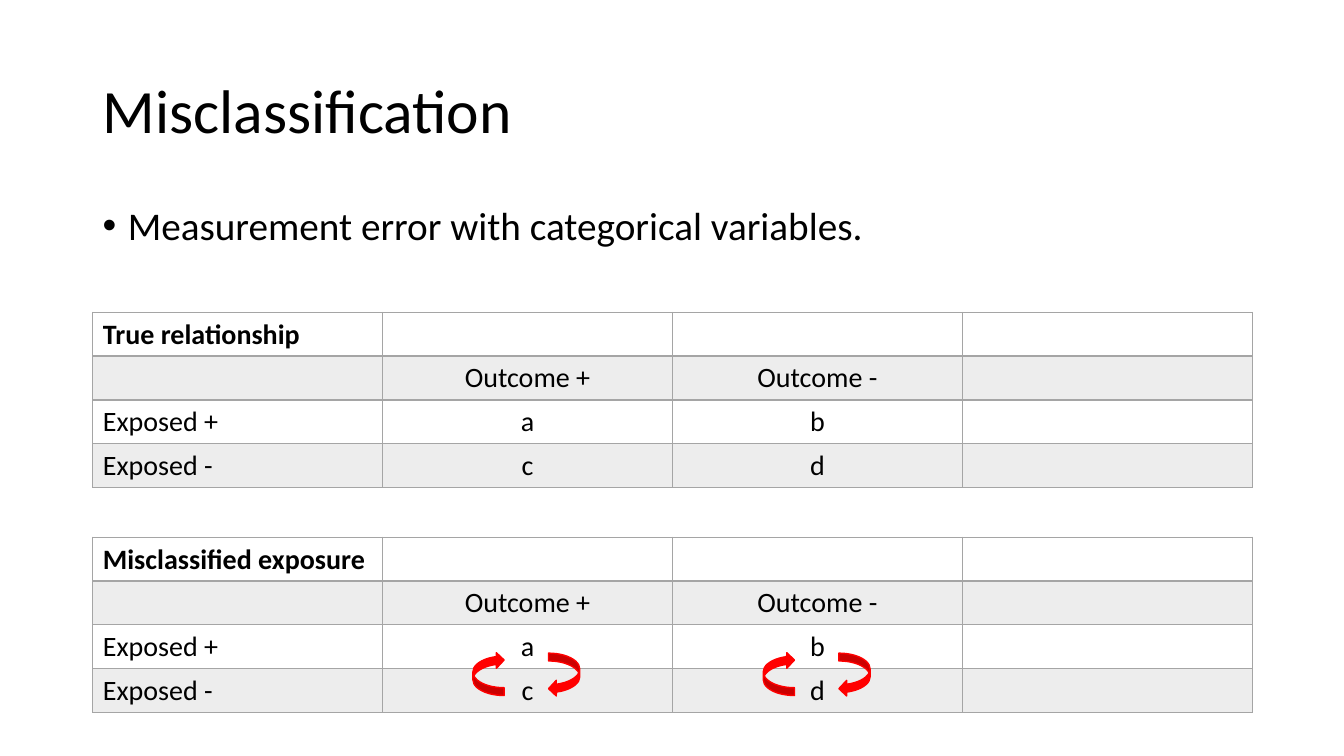
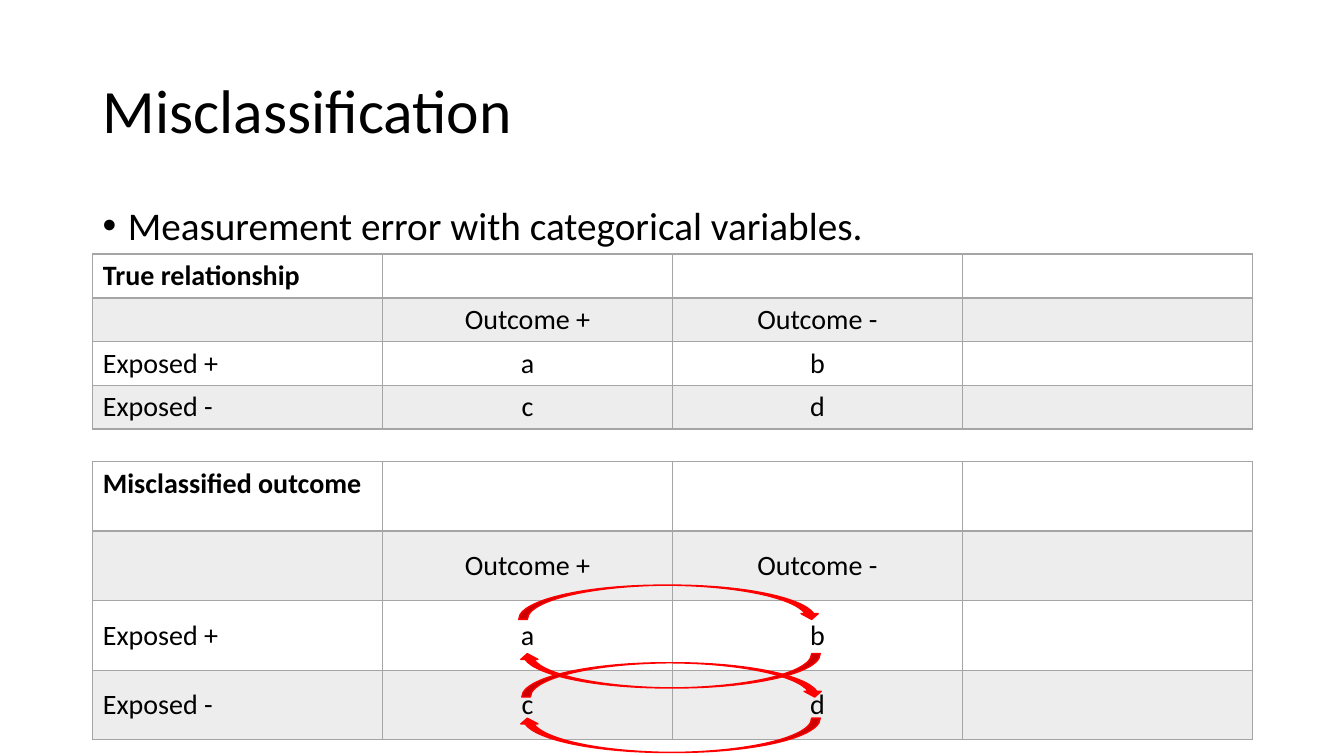
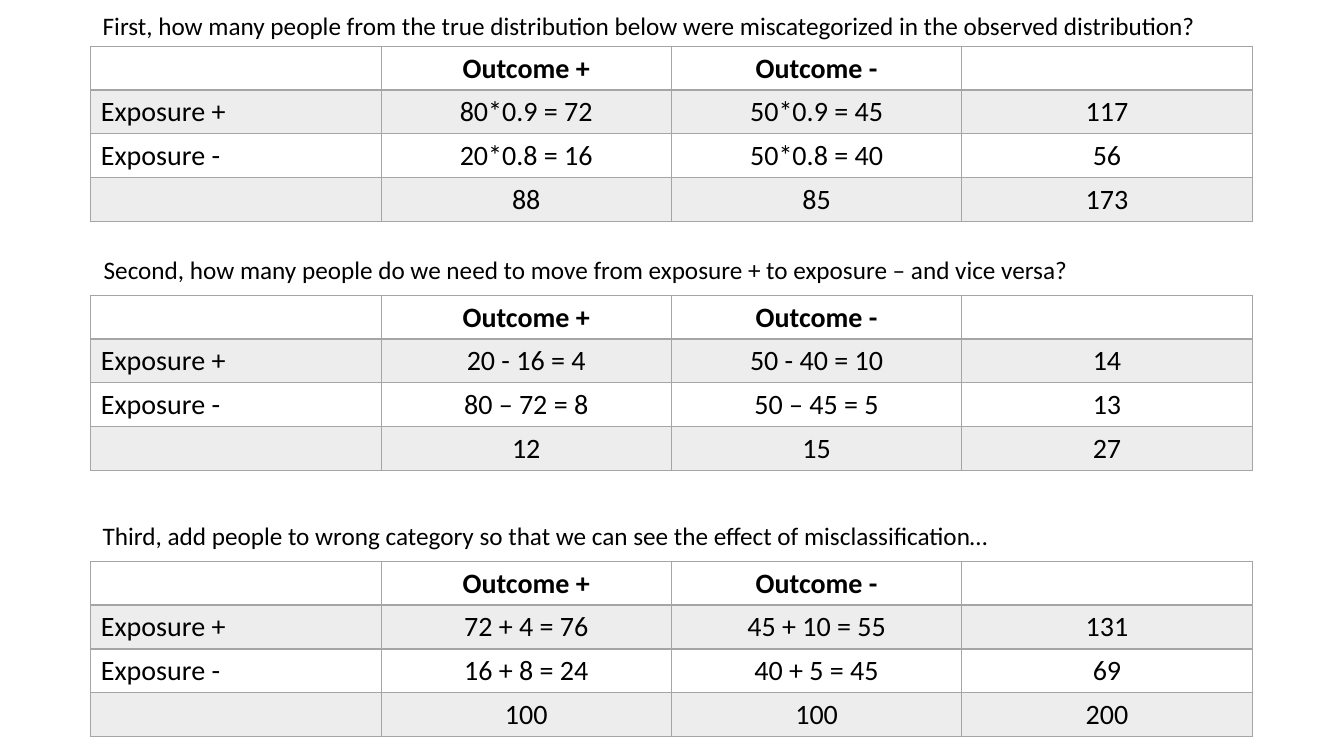
from lxml import etree
from pptx import Presentation
from pptx.dml.color import RGBColor
from pptx.enum.shapes import MSO_SHAPE as SHAPE
from pptx.enum.text import MSO_ANCHOR as ANCHOR, PP_ALIGN as ALIGN
from pptx.oxml.ns import qn
from pptx.util import Pt

# Shared style
PX = 9144  # 100 px to the inch
FONT = "Calibri"
BLACK, GREY, BAND, RED = "000000", "A5A5A5", "EDEDED", "FF0000"
LEFT, WIDTH, TABLE_HEIGHT = 92, 1150, 173
STEP_LEFT, STEP_WIDTH = 90, 1152


def px(*lengths):
    return [length * PX for length in lengths]


def color(value):
    return RGBColor.from_string(value)


def set_font(paragraph, size, bold=False):
    font = paragraph.font
    font.name, font.size, font.bold = FONT, Pt(size), bold
    font.color.rgb = color(BLACK)


def add_text(slide, box, text, size, spacing=None, anchor=ANCHOR.TOP, bullet=False):
    frame = slide.shapes.add_textbox(*px(*box)).text_frame
    frame.word_wrap = True
    frame.vertical_anchor = anchor
    paragraph = frame.paragraphs[0]
    paragraph.text = text
    if spacing:
        paragraph.line_spacing = spacing
    if bullet:
        props = paragraph._p.get_or_add_pPr()
        props.set("marL", str(25 * PX))
        props.set("indent", str(-25 * PX))
        etree.SubElement(props, qn("a:buFont"), typeface="Arial")
        etree.SubElement(props, qn("a:buChar"), char="•")
    set_font(paragraph, size)


def set_borders(cell, row):
    """Grey grid with a heavier rule under the header row."""
    widths = {"L": 1, "R": 1, "T": 2 if row == 1 else 1, "B": 2 if row == 0 else 1}
    props = cell._tc.get_or_add_tcPr()
    for side, width in widths.items():
        line = etree.SubElement(props, qn(f"a:ln{side}"), w=str(Pt(width)))
        fill = etree.SubElement(line, qn("a:solidFill"))
        etree.SubElement(fill, qn("a:srgbClr"), val=GREY)


def add_grid(slide, box, rows):
    frame = slide.shapes.add_table(len(rows), len(rows[0]), *px(*box))
    table = frame.table
    table.first_row = table.horz_banding = False
    for r, row in enumerate(rows):
        for c, text in enumerate(row):
            cell = table.cell(r, c)
            set_borders(cell, r)
            if r % 2:
                cell.fill.solid()
                cell.fill.fore_color.rgb = color(BAND)
            else:
                cell.fill.background()
            cell.vertical_anchor = ANCHOR.MIDDLE if r else ANCHOR.TOP
            paragraph = cell.text_frame.paragraphs[0]
            paragraph.text = text
            paragraph.alignment = ALIGN.CENTER if c else ALIGN.LEFT
            set_font(paragraph, 20, bold=r == 0)


def add_swap_arrow(slide, box, rotation, head=0.25):
    arrow = slide.shapes.add_shape(SHAPE.CURVED_LEFT_ARROW, *px(*box))
    arrow.shadow.inherit = False
    arrow.rotation = rotation
    for i, value in enumerate((0.25, 0.5, head)):
        arrow.adjustments[i] = value
    arrow.fill.solid()
    arrow.fill.fore_color.rgb = color(RED)
    arrow.line.color.rgb = color(RED)
    arrow.line.width = Pt(1)


def add_slide(deck):
    return deck.slides.add_slide(deck.slide_layouts[6])


def add_misclassification(deck, kind, true_top, wrong_top, wrong_height):
    """Title, definition, and the true table above the misclassified one."""
    slide = add_slide(deck)
    add_text(slide, (LEFT, 40, WIDTH, 145), "Misclassification", 44, 0.9, ANCHOR.MIDDLE)
    add_text(slide, (LEFT, 200, WIDTH, 476),
             "Measurement error with categorical variables.", 28, 0.9, bullet=True)
    for heading, top, height in (("True relationship", true_top, TABLE_HEIGHT),
                                 (f"Misclassified {kind}", wrong_top, wrong_height)):
        add_grid(slide, (LEFT, top, WIDTH, height), [
            (heading, "", "", ""),
            ("", "Outcome +", "Outcome -", ""),
            ("Exposed +", "a", "b", ""),
            ("Exposed -", "c", "d", ""),
        ])
    return slide


def add_step(slide, caption, caption_box, top, counts):
    """A calculation step: its question and the table that answers it."""
    add_text(slide, caption_box, caption, 18)
    labels = ("Exposure +", "Exposure -", "")
    rows = [("", "Outcome +", "Outcome -", "")]
    rows += [(label, *values) for label, values in zip(labels, counts)]
    add_grid(slide, (STEP_LEFT, top, STEP_WIDTH, TABLE_HEIGHT), rows)


def main():
    deck = Presentation()
    deck.slide_width, deck.slide_height = px(1333, 750)

    # Exposure swaps: rows trade places within each outcome column
    exposure = add_misclassification(deck, "exposure", 310, 533, TABLE_HEIGHT)
    for left in (469, 757):
        add_swap_arrow(exposure, (left + 75, 648, 31, 43), 0)
        add_swap_arrow(exposure, (left, 647, 31, 43), 180)

    # Outcome swaps: columns trade places within each exposure row
    outcome = add_misclassification(deck, "outcome", 252, 458, 276)
    for left, top, rotation in ((647, 448, 270), (647, 516, 90),
                                (650, 525, 270), (647, 580, 90)):
        add_swap_arrow(outcome, (left, top, 34, 299), rotation, head=0.167)

    # Worked example in three steps
    example = add_slide(deck)
    add_step(example, "First, how many people from the true distribution below were "
             "miscategorized in the observed distribution?", (92, 5, STEP_WIDTH, 40), 46,
             [("80*0.9 = 72", "50*0.9 = 45", "117"),
              ("20*0.8 = 16", "50*0.8 = 40", "56"),
              ("88", "85", "173")])
    add_step(example, "Second, how many people do we need to move from exposure + "
             "to exposure – and vice versa?", (93, 247, STEP_WIDTH, 40), 293,
             [("20 - 16 = 4", "50 - 40 = 10", "14"),
              ("80 – 72 = 8", "50 – 45 = 5", "13"),
              ("12", "15", "27")])
    add_step(example, "Third, add people to wrong category so that we can see "
             "the effect of misclassification…", (92, 511, STEP_WIDTH, 40), 557,
             [("72 + 4 = 76", "45 + 10 = 55", "131"),
              ("16 + 8 = 24", "40 + 5 = 45", "69"),
              ("100", "100", "200")])

    deck.save("out.pptx")


if __name__ == "__main__":
    main()
